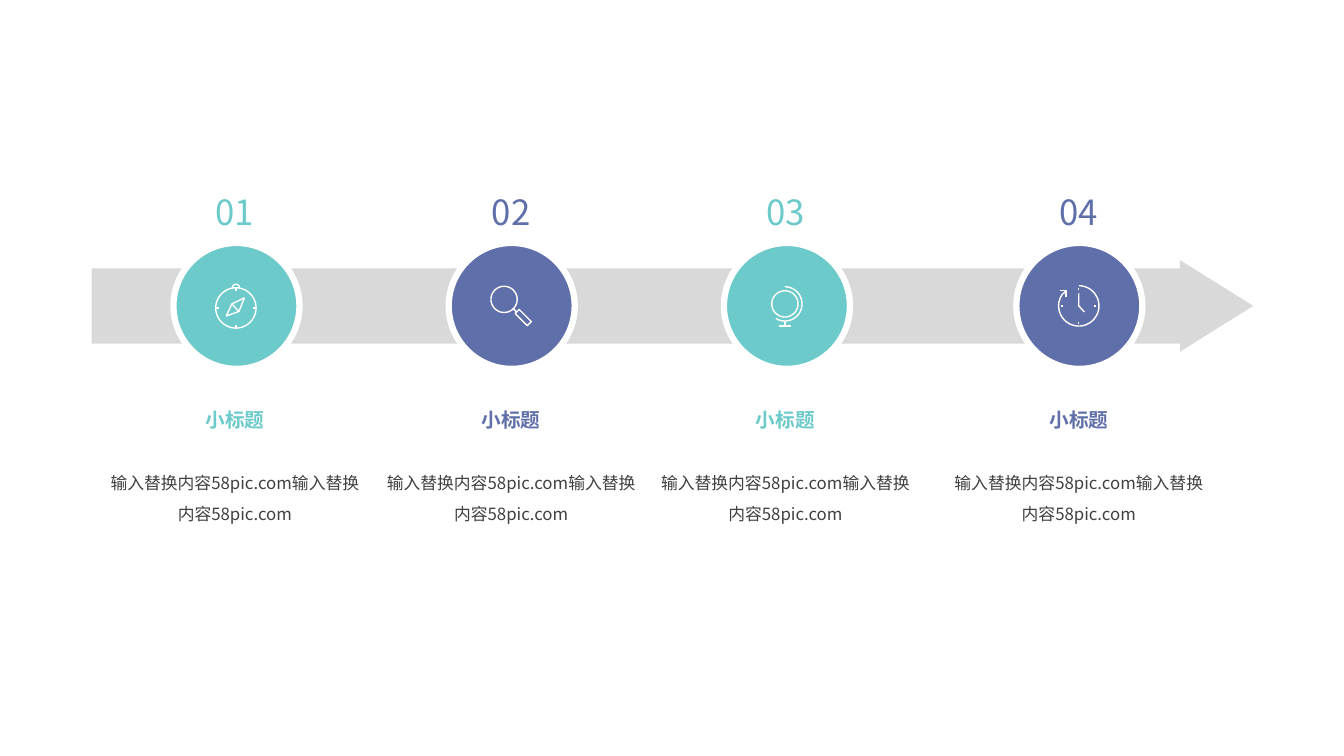
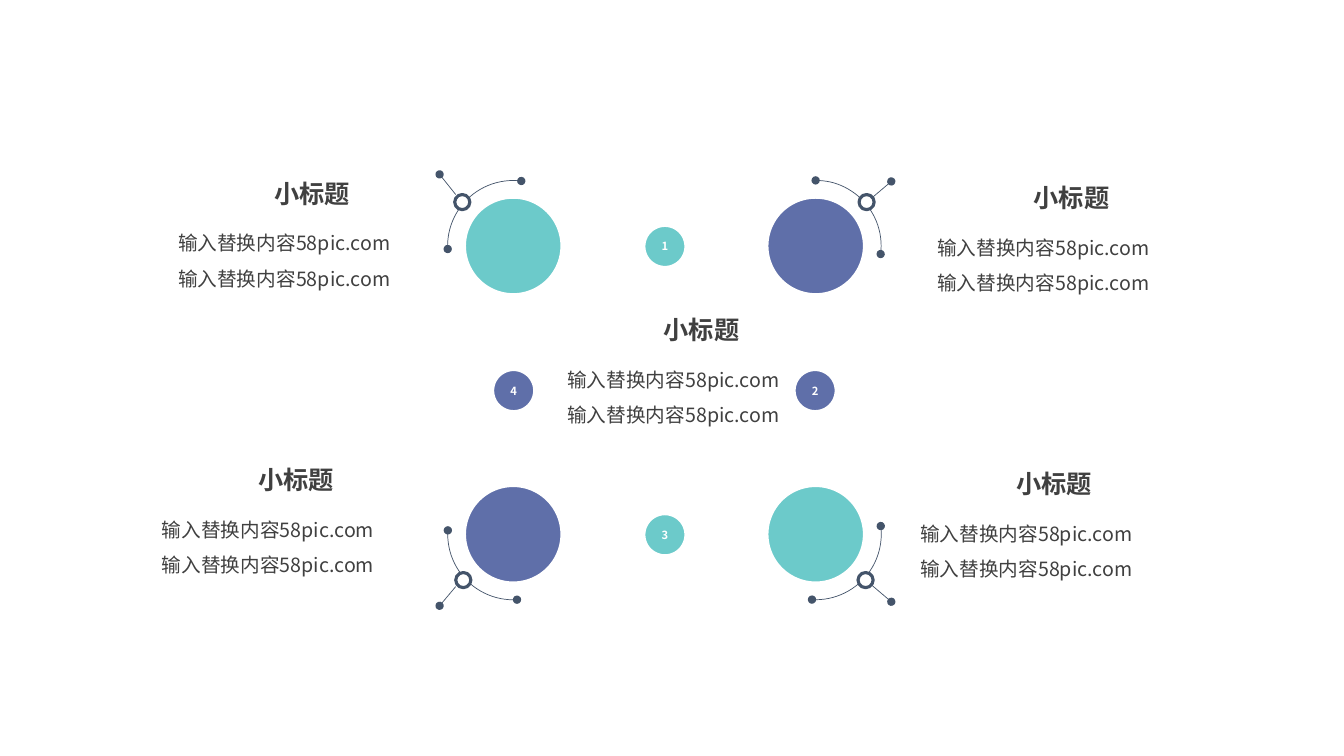
"""Build a four-step timeline slide and a four-corner cycle slide."""
import math
from dataclasses import dataclass
from typing import Any

from lxml import etree
from pptx import Presentation
from pptx import util as u
from pptx.dml import color
from pptx.enum import shapes, text
from pptx.oxml import ns

Point = tuple[float, float]
Stroke = list[Point]


@dataclass(frozen=True)
class Theme:
    """Colours, font and type sizes of the deck."""
    teal: str = "6CCACA"
    blue: str = "5F6FA9"
    slate: str = "44546A"
    grey: str = "D9D9D9"
    ink: str = "404040"
    white: str = "FFFFFF"
    font: str = "Noto Sans CJK SC"
    number: float = 24.8
    title: float = 18
    step_title: float = 14
    body: float = 14
    step_body: float = 12
    badge: float = 8


@dataclass(frozen=True)
class Style:
    """Format of one paragraph and its box."""
    size: float
    color: str
    bold: bool = False
    align: Any = text.PP_ALIGN.CENTER
    spacing: float | None = None
    anchor: Any = text.MSO_ANCHOR.TOP
    wrap: bool = True
    inset: float | None = None
    fit: Any = text.MSO_AUTO_SIZE.NONE


@dataclass(frozen=True)
class Step:
    """One stop on the timeline."""
    number: str
    circle_left: float
    text_center: float
    color: str
    icon: list[Stroke]


@dataclass(frozen=True)
class Corner:
    """One large circle with its orbit arc, ring and pointer."""
    left: float
    top: float
    color: str
    rotation: int
    angles: Point
    ring: Point
    pointer: tuple[Point, Point]


@dataclass(frozen=True)
class Badge:
    """One small numbered circle."""
    label: str
    left: float
    top: float
    color: str


THEME = Theme()
HEADING = "小标题"
CONTENT = "输入替换内容58pic.com输入替换内容58pic.com"


def apply_format(target: Any, values: dict[str, Any]) -> None:
    """Set each given attribute on the target."""
    for name, value in values.items():
        setattr(target, name, value)


def rgb(value: str) -> color.RGBColor:
    """Turn a hex string into a colour."""
    return color.RGBColor.from_string(value)


def paint(shape: Any, fill: str | None, line: str | None, width: float = 0) -> None:
    """Give a shape its fill and outline and drop its shadow."""
    shape.shadow.inherit = False
    if fill:
        shape.fill.solid()
        shape.fill.fore_color.rgb = rgb(fill)
    else:
        shape.fill.background()
    if line:
        shape.line.color.rgb = rgb(line)
        shape.line.width = u.Pt(width)
    else:
        shape.line.fill.background()


def add_oval_ends(shape: Any, *ends: str) -> None:
    """Put round ends on a line."""
    outline = shape._element.spPr.find(ns.qn("a:ln"))
    for end in ends:
        etree.SubElement(outline, ns.qn(f"a:{end}"), type="oval")


def add_preset(page: Any, kind: Any, left: float, top: float, width: float, height: float) -> Any:
    """Add a preset shape measured in inches."""
    return page.shapes.add_shape(kind, *map(u.Inches, (left, top, width, height)))


def add_circle(page: Any, left: float, top: float, size: float,
               fill: str, line: str, width: float) -> Any:
    """Add a filled circle."""
    circle = add_preset(page, shapes.MSO_SHAPE.OVAL, left, top, size, size)
    paint(circle, fill, line, width)
    return circle


def add_line(page: Any, start: Point, end: Point, line: str, width: float) -> Any:
    """Add a straight line without shadow."""
    connector = page.shapes.add_connector(
        shapes.MSO_CONNECTOR.STRAIGHT, *map(u.Inches, (*start, *end)))
    connector.line.color.rgb = rgb(line)
    connector.line.width = u.Pt(width)
    etree.SubElement(connector._element.spPr, ns.qn("a:effectLst"))
    return connector


def write(box: Any, words: str, style: Style) -> None:
    """Write one formatted paragraph in a box."""
    frame = box.text_frame
    apply_format(frame, {"word_wrap": style.wrap, "auto_size": style.fit,
                         "vertical_anchor": style.anchor})
    if style.inset is not None:
        apply_format(frame, {f"margin_{side}": u.Inches(style.inset)
                             for side in ("left", "top", "right", "bottom")})
    para = frame.paragraphs[0]
    apply_format(para, {"alignment": style.align, "line_spacing": style.spacing})
    span = para.add_run()
    span.text = words
    apply_format(span.font, {"name": THEME.font, "size": u.Pt(style.size), "bold": style.bold})
    span.font.color.rgb = rgb(style.color)
    etree.SubElement(span.font._element, ns.qn("a:ea"), typeface=THEME.font)


def add_text(page: Any, left: float, top: float, width: float, height: float,
             words: str, style: Style) -> None:
    """Add a text box measured in inches."""
    box = page.shapes.add_textbox(*map(u.Inches, (left, top, width, height)))
    write(box, words, style)


def arc_points(x: float, y: float, radius: float, start: int = 0, end: int = 360) -> Stroke:
    """Sample an arc, with degrees running clockwise from the right."""
    count = max(12, (end - start) // 6)
    angles = [math.radians(start + (end - start) * i / count) for i in range(count + 1)]
    return [(x + radius * math.cos(a), y + radius * math.sin(a)) for a in angles]


def ticks(x: float, y: float, inner: float, outer: float) -> list[Stroke]:
    """Return four short radial marks."""
    return [[(x + dx * inner, y + dy * inner), (x + dx * outer, y + dy * outer)]
            for dx, dy in ((0, -1), (1, 0), (0, 1), (-1, 0))]


def compass() -> list[Stroke]:
    """Return the strokes of a compass."""
    west, east = (-0.045, -0.02), (0.025, 0.055)
    tip, tail = (0.08, -0.08), (-0.1, 0.1)
    return [arc_points(-0.005, 0.02, 0.2), arc_points(-0.005, -0.18, 0.035, 180, 360),
            [tip, west, tail, east, tip], [west, east], *ticks(-0.005, 0.02, 0.165, 0.195)]


def magnifier() -> list[Stroke]:
    """Return the strokes of a magnifying glass."""
    grip = [(0.035, 0.075), (0.075, 0.035), (0.195, 0.155), (0.155, 0.195)]
    return [arc_points(-0.075, -0.065, 0.13), [(0.015, 0.025), (0.05, 0.06)], grip + grip[:1]]


def globe() -> list[Stroke]:
    """Return the strokes of a desk globe."""
    return [arc_points(-0.02, -0.02, 0.13), arc_points(-0.02, -0.02, 0.17, -90, 122),
            [(-0.02, 0.15), (-0.02, 0.2)], [(-0.08, 0.2), (0.04, 0.2)]]


def clock() -> list[Stroke]:
    """Return the strokes of a clock with a rewind arrow."""
    corner = (-0.13, -0.15)
    return [arc_points(-0.005, 0, 0.2, -90, 214) + [corner],
            [(-0.195, -0.15), corner, (-0.13, -0.085)],
            [(-0.005, -0.125), (-0.005, 0), (0.05, 0.06)], *ticks(-0.005, 0, 0.155, 0.175)]


def add_icon(page: Any, x: float, y: float, strokes: list[Stroke]) -> None:
    """Draw strokes around a centre as one outline."""
    placed = [[(u.Inches(x + dx), u.Inches(y + dy)) for dx, dy in stroke] for stroke in strokes]
    builder = page.shapes.build_freeform(*placed[0][0])
    for index, stroke in enumerate(placed):
        if index:
            builder.move_to(*stroke[0])
        builder.add_line_segments(stroke[1:], close=False)
    paint(builder.convert_to_shape(), None, THEME.white, 1)


def add_step(page: Any, step: Step) -> None:
    """Draw one timeline stop with its texts."""
    size, top = 1.25, 2.41
    add_circle(page, step.circle_left, top, size, step.color, THEME.white, 4.5)
    add_icon(page, step.circle_left + size / 2, top + size / 2, step.icon)
    blocks = (
        (1.84, 0.97, 0.44, step.number, Style(THEME.number, step.color)),
        (4.46, 2.7, 0.87, CONTENT, Style(THEME.step_body, THEME.ink, spacing=1.5,
                                         anchor=text.MSO_ANCHOR.MIDDLE)),
        (4, 2.15, 0.28, HEADING, Style(THEME.step_title, step.color, bold=True,
                                       spacing=1.2, wrap=False, inset=0)))
    for y, width, height, words, style in blocks:
        add_text(page, step.text_center - width / 2, y, width, height, words, style)


def add_corner(page: Any, corner: Corner) -> None:
    """Draw one large circle and its orbit."""
    add_circle(page, corner.left, corner.top, 1.02, corner.color, THEME.white, 6)
    orbit = add_preset(page, shapes.MSO_SHAPE.ARC, corner.left - 0.14, corner.top - 0.14, 1.3, 1.3)
    orbit.adjustments[0], orbit.adjustments[1] = corner.angles
    orbit.rotation = corner.rotation
    paint(orbit, None, THEME.slate, 0.5)
    add_oval_ends(orbit, "headEnd", "tailEnd")
    add_circle(page, *corner.ring, 0.15, THEME.white, THEME.slate, 2.25)
    add_oval_ends(add_line(page, *corner.pointer, THEME.slate, 0.5), "tailEnd")


def build_timeline(page: Any) -> None:
    """Build the arrow with four steps."""
    arrow = add_preset(page, shapes.MSO_SHAPE.RIGHT_ARROW, 0.91, 2.58, 11.52, 0.91)
    arrow.adjustments[0], arrow.adjustments[1] = 0.82, 0.8
    paint(arrow, THEME.grey, None)
    for step in (Step("01", 1.72, 2.33, THEME.teal, compass()),
                 Step("02", 4.45, 5.07, THEME.blue, magnifier()),
                 Step("03", 7.18, 7.79, THEME.teal, globe()),
                 Step("04", 10.08, 10.7, THEME.blue, clock())):
        add_step(page, step)


def build_cycle(page: Any) -> None:
    """Build the four corners, their badges and the texts."""
    for start, end in (((5.61, 2.44), (7.58, 2.44)), ((8.09, 2.95), (8.09, 4.79)),
                       ((5.09, 2.95), (5.09, 4.79)), ((5.61, 5.3), (7.58, 5.3))):
        add_line(page, start, end, THEME.white, 6)
    for badge in (Badge("1", 6.36, 2.21, THEME.teal), Badge("3", 6.36, 5.07, THEME.teal),
                  Badge("2", 7.85, 3.64, THEME.blue), Badge("4", 4.86, 3.64, THEME.blue)):
        circle = add_circle(page, badge.left, badge.top, 0.47, badge.color, THEME.white, 6)
        write(circle, badge.label, Style(THEME.badge, THEME.white, bold=True,
                                         anchor=text.MSO_ANCHOR.MIDDLE, wrap=False))
    for corner in (
            Corner(4.58, 1.93, THEME.teal, 270, (160.41, 4.27), (4.51, 1.93),
                   ((4.52, 1.93), (4.36, 1.73))),
            Corner(7.58, 1.93, THEME.blue, 0, (162, 4.27), (8.52, 1.93),
                   ((8.64, 1.97), (8.84, 1.8))),
            Corner(4.58, 4.79, THEME.blue, 180, (160.04, 2.06), (4.52, 5.68),
                   ((4.52, 5.82), (4.36, 6.01))),
            Corner(7.58, 4.79, THEME.teal, 90, (157.73, 1.97), (8.51, 5.68),
                   ((8.64, 5.8), (8.84, 5.97)))):
        add_corner(page, corner)
    shared = {"align": text.PP_ALIGN.RIGHT, "fit": text.MSO_AUTO_SIZE.SHAPE_TO_FIT_TEXT}
    body = Style(THEME.body, THEME.ink, spacing=1.5, **shared)
    title = Style(THEME.title, THEME.ink, bold=True, **shared)
    for left, top in ((1.59, 2.13), (9.12, 2.17), (1.43, 4.97), (8.95, 5.01), (5.45, 3.48)):
        add_text(page, left, top, 2.38, 0.77, CONTENT, body)
        add_text(page, left + 0.56, top - 0.41, 1.42, 0.42, HEADING, title)


def main() -> None:
    """Build and save the deck."""
    deck = Presentation()
    apply_format(deck, {"slide_width": u.Inches(13.33), "slide_height": u.Inches(7.5)})
    for build in (build_timeline, build_cycle):
        build(deck.slides.add_slide(deck.slide_layouts[6]))
    deck.save("out.pptx")


if __name__ == "__main__":
    main()
